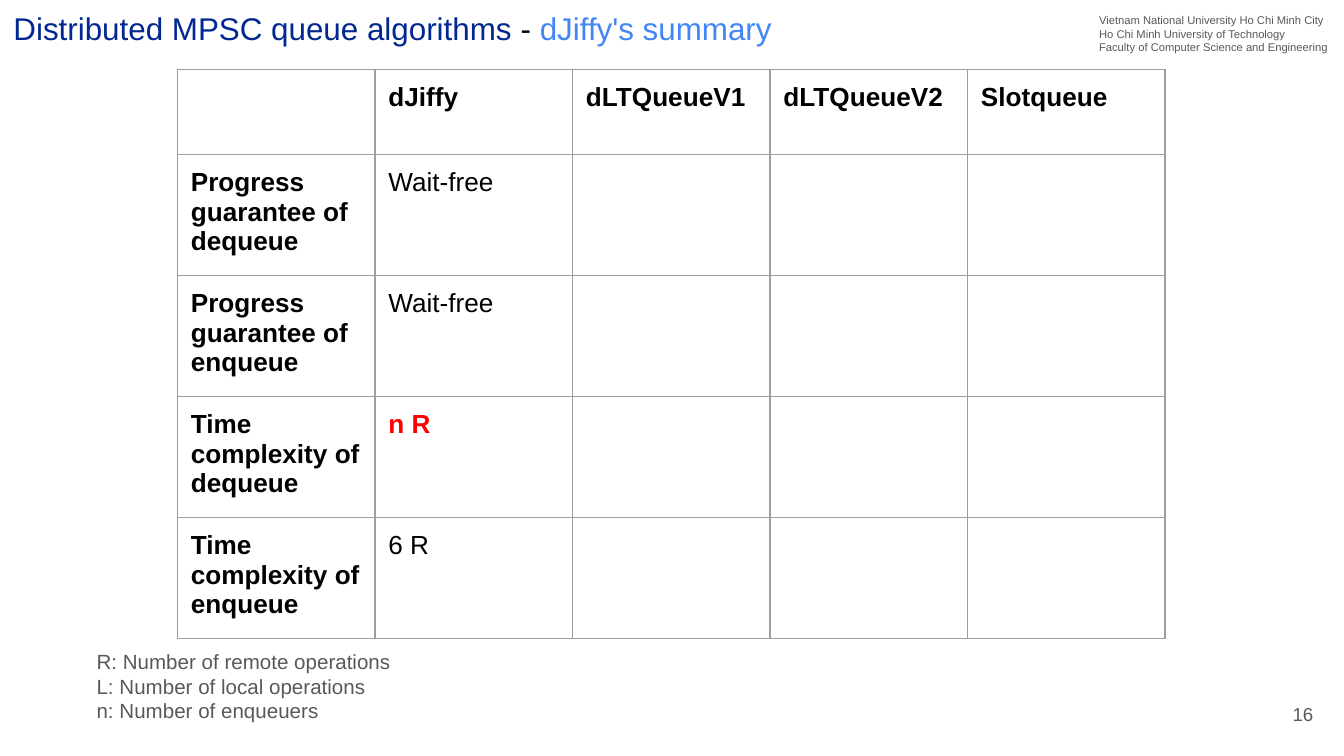
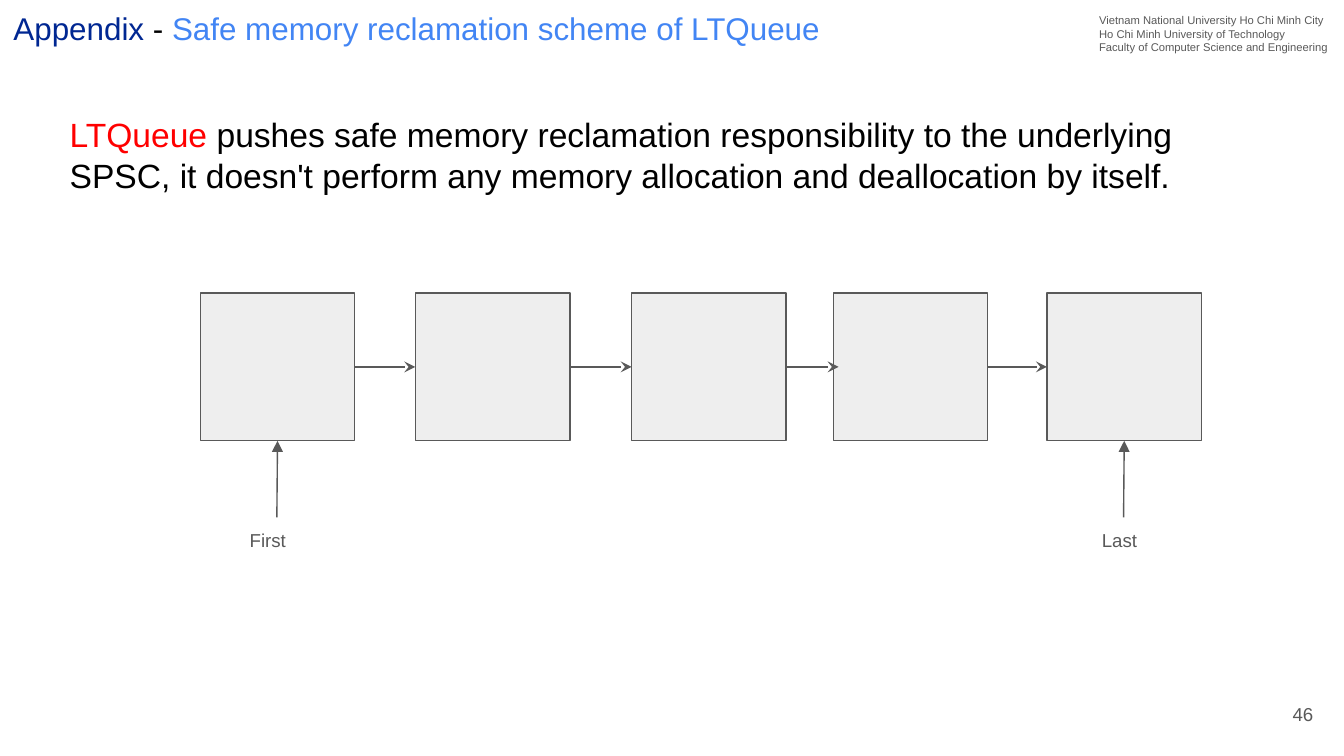
from dataclasses import dataclass
from itertools import pairwise

from lxml.etree import SubElement
from pptx import Presentation
from pptx.dml.color import RGBColor as Rgb
from pptx.enum.shapes import MSO_CONNECTOR as Connector, MSO_SHAPE as Shape
from pptx.enum.text import MSO_ANCHOR as Anchor, MSO_AUTO_SIZE as AutoSize, PP_ALIGN as Align
from pptx.oxml.ns import qn
from pptx.util import Pt

PX = 4572  # EMU per px, 200 px to the inch
INSET = 20


@dataclass(frozen=True)
class Theme:
    font: str = "Arial"
    navy: str = "002792"
    blue: str = "4285F4"
    black: str = "000000"
    grey: str = "595959"
    red: str = "FF0000"
    node: str = "EEEEEE"
    border: str = "9E9E9E"
    line: float = 0.75
    title_size: float = 16.8
    lead_size: int = 18
    table_size: int = 14
    legend_size: int = 11
    label_size: int = 10
    header_size: int = 6


THEME = Theme()
UNIVERSITY = (
    "Vietnam National University Ho Chi Minh City",
    "Ho Chi Minh University of Technology",
    "Faculty of Computer Science and Engineering",
)


def emu(*lengths):
    return [length * PX for length in lengths]


class Deck:
    def __init__(self, theme):
        self.theme = theme
        self.prs = Presentation()
        self.prs.slide_width, self.prs.slide_height = emu(2000, 1125)
        self.slide = None

    def add_slide(self, topic, subject, number):
        self.slide = self.prs.slides.add_slide(self.prs.slide_layouts[5])
        self.title(topic, subject)
        self.text((1616, 0, 380, 100), UNIVERSITY, self.theme.header_size)
        page = self.text((1854, 1020, 120, 86), [number], self.theme.label_size,
                         anchor=Anchor.MIDDLE, grow=False)
        page.paragraphs[0].alignment = Align.RIGHT

    def title(self, topic, subject):
        t = self.theme
        title = self.slide.shapes.title
        title.left, title.top, title.width, title.height = emu(0, 0, 1432, 90)
        self.set_frame(title.text_frame, Anchor.BOTTOM, AutoSize.NONE)
        heading = title.text_frame.paragraphs[0]
        heading.alignment = Align.LEFT
        self.runs(heading, [(topic, t.navy), (" - ", t.black), (subject, t.blue)], t.title_size)

    def set_frame(self, frame, anchor, auto_size):
        frame.word_wrap = True
        frame.auto_size = auto_size
        frame.vertical_anchor = anchor
        self.set_insets(frame)

    def set_insets(self, holder):
        holder.margin_left = holder.margin_right = INSET * PX
        holder.margin_top = holder.margin_bottom = INSET * PX

    def set_font(self, paragraph, size, color=None, bold=False):
        font = paragraph.font
        font.name, font.size, font.bold = self.theme.font, Pt(size), bold
        if color:
            font.color.rgb = Rgb.from_string(color)

    def runs(self, paragraph, parts, size):
        """Fill a paragraph with (wording, colour) parts of one size."""
        self.set_font(paragraph, size)
        for wording, color in parts:
            run = paragraph.add_run()
            run.text = wording
            run.font.color.rgb = Rgb.from_string(color)

    def text(self, box, lines, size, anchor=Anchor.TOP, grow=True):
        frame = self.slide.shapes.add_textbox(*emu(*box)).text_frame
        self.set_frame(frame, anchor, AutoSize.SHAPE_TO_FIT_TEXT if grow else AutoSize.NONE)
        frame.text = "\n".join(lines)
        for paragraph in frame.paragraphs:
            self.set_font(paragraph, size, self.theme.grey)
        return frame

    def lead(self, box, parts):
        frame = self.text(box, [], self.theme.lead_size)
        self.runs(frame.paragraphs[0], parts, self.theme.lead_size)

    def table(self, left, top, column_width, row_heights, rows, alerts):
        """Draw a grid with bold first row and column; alerts are bold red values."""
        t = self.theme
        columns = len(rows[0])
        size = emu(left, top, column_width * columns, sum(row_heights))
        table = self.slide.shapes.add_table(len(rows), columns, *size).table
        table.first_row = table.horz_banding = False
        for column in table.columns:
            column.width = column_width * PX
        for r, (height, row) in enumerate(zip(row_heights, rows)):
            table.rows[r].height = height * PX
            for c, wording in enumerate(row):
                cell = table.cell(r, c)
                self.set_insets(cell)
                cell.fill.background()
                self.cell_border(cell)
                cell.text = wording
                alert = wording in alerts
                self.set_font(cell.text_frame.paragraphs[0], t.table_size,
                              t.red if alert else t.black, alert or r == 0 or c == 0)

    def cell_border(self, cell):
        properties = cell._tc.get_or_add_tcPr()
        for index, side in enumerate(("lnL", "lnR", "lnT", "lnB")):
            edge = SubElement(properties, qn(f"a:{side}"), w=str(Pt(self.theme.line)))
            fill = SubElement(edge, qn("a:solidFill"))
            SubElement(fill, qn("a:srgbClr"), val=self.theme.border)
            properties.insert(index, edge)

    def node(self, *box):
        node = self.slide.shapes.add_shape(Shape.RECTANGLE, *emu(*box))
        node.shadow.inherit = False
        node.fill.solid()
        node.fill.fore_color.rgb = Rgb.from_string(self.theme.node)
        self.set_line(node.line)

    def set_line(self, line):
        line.color.rgb = Rgb.from_string(self.theme.grey)
        line.width = Pt(self.theme.line)

    def arrow(self, start, end, head):
        arrow = self.slide.shapes.add_connector(Connector.STRAIGHT, *emu(*start, *end))
        self.set_line(arrow.line)
        SubElement(arrow.line._get_or_add_ln(), qn("a:tailEnd"), type=head)
        SubElement(arrow._element.spPr, qn("a:effectLst"))


def summary_slide(deck):
    deck.add_slide("Distributed MPSC queue algorithms", "dJiffy's summary", "16")
    results = [
        ("Progress guarantee of dequeue", "Wait-free"),
        ("Progress guarantee of enqueue", "Wait-free"),
        ("Time complexity of dequeue", "n R"),
        ("Time complexity of enqueue", "6 R"),
    ]
    rows = [("", "dJiffy", "dLTQueueV1", "dLTQueueV2", "Slotqueue")]
    rows += [(*result, "", "", "") for result in results]
    deck.table(264, 103, 294, [127] + [172] * len(results), rows, alerts={"n R"})
    deck.text((124, 946, 1610, 152), [
        "R: Number of remote operations",
        "L: Number of local operations",
        "n: Number of enqueuers",
    ], deck.theme.legend_size)


def reclamation_slide(deck):
    t = deck.theme
    deck.add_slide("Appendix", "Safe memory reclamation scheme of LTQueue", "46")
    deck.lead((84, 150, 1750, 162), [
        ("LTQueue", t.red),
        (" pushes safe memory reclamation responsibility to the underlying SPSC, "
         "it doesn't perform any memory allocation and deallocation by itself.", t.black),
    ])

    node_lefts = (298, 618, 940, 1240, 1558)
    top, width, height = 436, 230, 220
    for left in node_lefts:
        deck.node(left, top, width, height)
    middle, bottom = top + height // 2, top + height
    overlaps = (0, 0, 8, 0)
    for (left, following), overlap in zip(pairwise(node_lefts), overlaps):
        deck.arrow((left + width, middle), (following + overlap, middle), "stealth")

    label_top = 770
    pointers = [("First", 352, 120, node_lefts[0]), ("Last", 1620, 104, node_lefts[-1])]
    for name, left, label_width, node_left in pointers:
        deck.text((left, label_top, label_width, 74), [name], t.label_size)
        deck.arrow((left + label_width // 2, label_top),
                   (node_left + width // 2, bottom), "triangle")


def main():
    deck = Deck(THEME)
    summary_slide(deck)
    reclamation_slide(deck)
    deck.prs.save("out.pptx")


if __name__ == "__main__":
    main()
